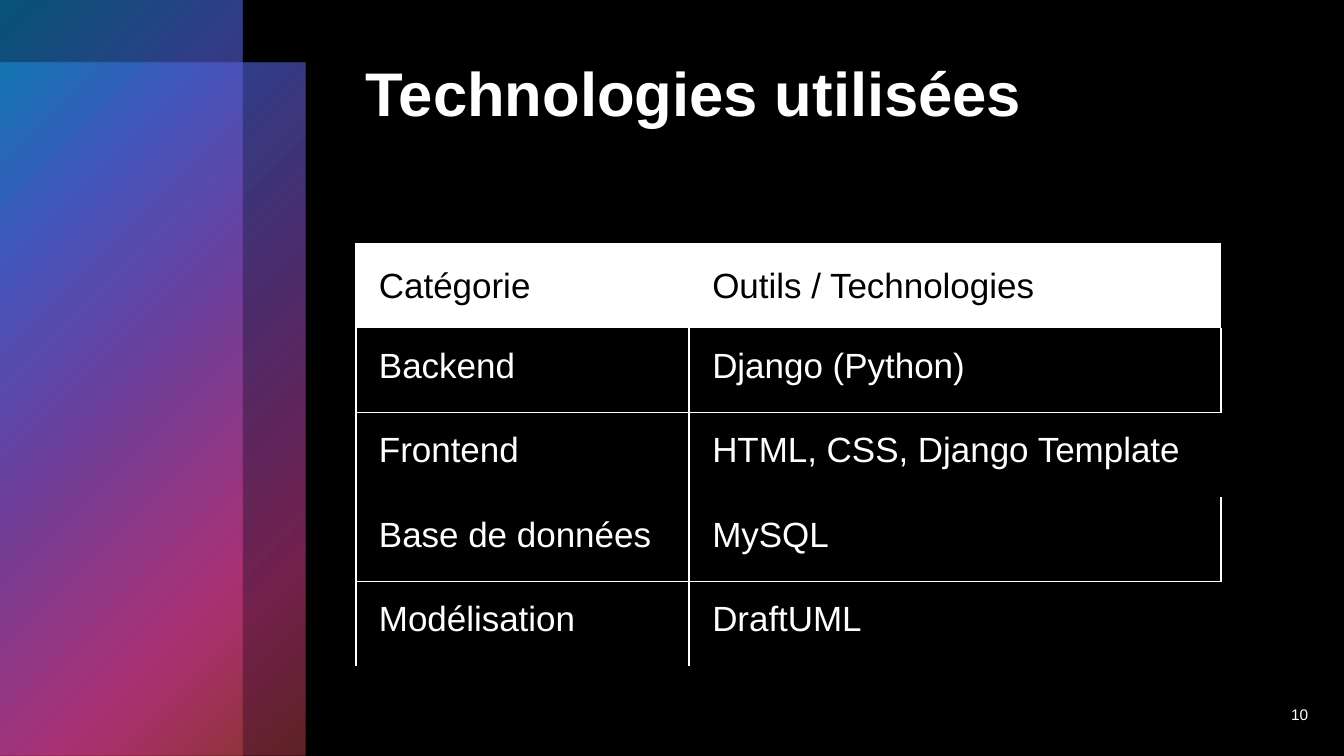
from dataclasses import dataclass

from lxml import etree
from pptx import Presentation
from pptx.dml.color import RGBColor
from pptx.enum.shapes import MSO_SHAPE
from pptx.enum.text import MSO_ANCHOR, PP_ALIGN
from pptx.oxml.ns import qn
from pptx.slide import Slide
from pptx.table import _Cell
from pptx.text.text import _Paragraph
from pptx.util import Cm, Pt

RECTANGLE = MSO_SHAPE.RECTANGLE
TOP, MIDDLE = MSO_ANCHOR.TOP, MSO_ANCHOR.MIDDLE
LEFT, RIGHT = PP_ALIGN.LEFT, PP_ALIGN.RIGHT


@dataclass(frozen=True)
class Theme:
    font: str = "Arial"
    dark: str = "000000"
    light: str = "FFFFFF"
    title_size: float = 44
    table_size: float = 25
    number_size: float = 11
    thick_line: float = 1.5
    thin_line: float = 0.5
    # position, colour, opacity (percent)
    gradient: tuple[tuple[int, str, int], ...] = (
        (0, "0BA5E8", 50),
        (25, "5066E1", 60),
        (50, "894EC0", 55),
        (81, "E54196", 50),
        (99, "BE4449", 50),
    )


@dataclass(frozen=True)
class Area:
    """Position and size in centimetres."""
    left: float
    top: float
    width: float
    height: float

    def lengths(self) -> tuple[Cm, Cm, Cm, Cm]:
        return Cm(self.left), Cm(self.top), Cm(self.width), Cm(self.height)


@dataclass(frozen=True)
class Label:
    text: str
    area: Area
    size: float
    bold: bool = False
    align: PP_ALIGN = LEFT
    anchor: MSO_ANCHOR = TOP


THEME = Theme()
PAGE_WIDTH, PAGE_HEIGHT = 33.87, 19.05
BAND_TOP = 1.59

BANDS = (
    Area(0, BAND_TOP, 7.7, PAGE_HEIGHT - BAND_TOP),
    Area(0, 0, 6.12, PAGE_HEIGHT),
)
LABELS = (
    Label("Technologies utilisées", Area(8.97, 1.27, 21.79, 4.32),
          THEME.title_size, bold=True),
    Label("10", Area(30.96, 17.48, 2.26, 1.02), THEME.number_size,
          align=RIGHT, anchor=MIDDLE),
)
TABLE_LEFT, TABLE_TOP = 8.97, 6.14
COLUMN_WIDTHS = (8.4, 13.39)
ROW_HEIGHT = 2.13
ROWS = (
    ("Catégorie", "Outils / Technologies"),
    ("Backend", "Django (Python)"),
    ("Frontend", "HTML, CSS, Django Template"),
    ("Base de données", "MySQL"),
    ("Modélisation", "DraftUML"),
)


def add_span(para: _Paragraph, text: str, size: float, color: str,
             bold: bool = False) -> None:
    span = para.add_run()
    span.text = text
    span.font.name = THEME.font
    span.font.size = Pt(size)
    span.font.bold = bold
    span.font.color.rgb = RGBColor.from_string(color)


def add_band(page: Slide, area: Area) -> None:
    """Draw a translucent rectangle with the diagonal gradient."""
    band = page.shapes.add_shape(RECTANGLE, *area.lengths())
    band.shadow.inherit = False
    band.line.fill.background()
    gradient = etree.Element(qn("a:gradFill"), rotWithShape="1")
    stops = etree.SubElement(gradient, qn("a:gsLst"))
    for position, color, opacity in THEME.gradient:
        stop = etree.SubElement(stops, qn("a:gs"), pos=str(position * 1000))
        tint = etree.SubElement(stop, qn("a:srgbClr"), val=color)
        etree.SubElement(tint, qn("a:alpha"), val=str(opacity * 1000))
    etree.SubElement(gradient, qn("a:lin"), ang="2700000", scaled="0")
    band._element.spPr.find(qn("a:prstGeom")).addnext(gradient)


def add_label(page: Slide, label: Label) -> None:
    box = page.shapes.add_textbox(*label.area.lengths())
    frame = box.text_frame
    frame.word_wrap = True
    frame.vertical_anchor = label.anchor
    para = frame.paragraphs[0]
    para.alignment = label.align
    add_span(para, label.text, label.size, THEME.light, label.bold)


def cell_borders(row: int, column: int) -> dict[str, float]:
    """Give the width of each drawn side; body rows alternate open and closed."""
    first = column == 0
    if row == 0:
        return {"T": THEME.thick_line} | ({"L": THEME.thick_line} if first else {})
    closed = row % 2 == 1
    sides = {"L": THEME.thick_line, "B" if closed else "T": THEME.thin_line}
    if first or closed:
        sides["R"] = THEME.thick_line
    return sides


def set_borders(cell: _Cell, sides: dict[str, float]) -> None:
    properties = cell._tc.get_or_add_tcPr()
    for side in "LRTB":
        line = etree.SubElement(properties, qn(f"a:ln{side}"))
        if side in sides:
            line.set("w", str(Pt(sides[side])))
            fill = etree.SubElement(line, qn("a:solidFill"))
            etree.SubElement(fill, qn("a:srgbClr"), val=THEME.light)
        else:
            etree.SubElement(line, qn("a:noFill"))


def fill_cell(cell: _Cell, text: str, row: int, column: int) -> None:
    header = row == 0
    set_borders(cell, cell_borders(row, column))
    cell.fill.solid()
    cell.fill.fore_color.rgb = RGBColor.from_string(
        THEME.light if header else THEME.dark)
    cell.margin_left = Cm(0.58)
    cell.margin_right = cell.margin_top = cell.margin_bottom = Cm(0.46)
    cell.vertical_anchor = MIDDLE if header else TOP
    add_span(cell.text_frame.paragraphs[0], text, THEME.table_size,
             THEME.dark if header else THEME.light)


def add_technology_table(page: Slide) -> None:
    area = Area(TABLE_LEFT, TABLE_TOP, sum(COLUMN_WIDTHS), ROW_HEIGHT * len(ROWS))
    table = page.shapes.add_table(
        len(ROWS), len(COLUMN_WIDTHS), *area.lengths()).table
    table.first_row = table.horz_banding = False
    for column, width in enumerate(COLUMN_WIDTHS):
        table.columns[column].width = Cm(width)
    for row, texts in enumerate(ROWS):
        table.rows[row].height = Cm(ROW_HEIGHT)
        for column, text in enumerate(texts):
            fill_cell(table.cell(row, column), text, row, column)


def main() -> None:
    deck = Presentation()
    deck.slide_width, deck.slide_height = Cm(PAGE_WIDTH), Cm(PAGE_HEIGHT)
    page = deck.slides.add_slide(deck.slide_layouts[6])
    page.background.fill.solid()
    page.background.fill.fore_color.rgb = RGBColor.from_string(THEME.dark)
    for band in BANDS:
        add_band(page, band)
    for label in LABELS:
        add_label(page, label)
    add_technology_table(page)
    deck.save("out.pptx")


if __name__ == "__main__":
    main()
